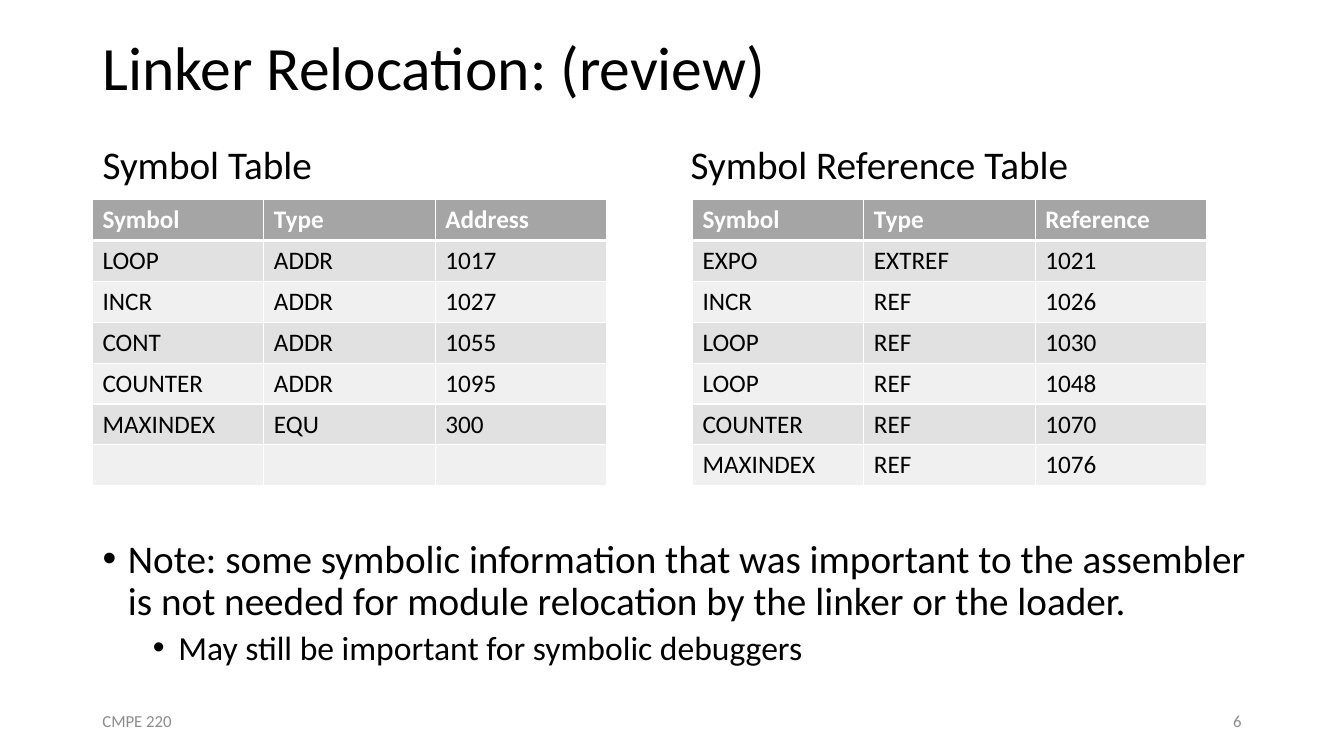
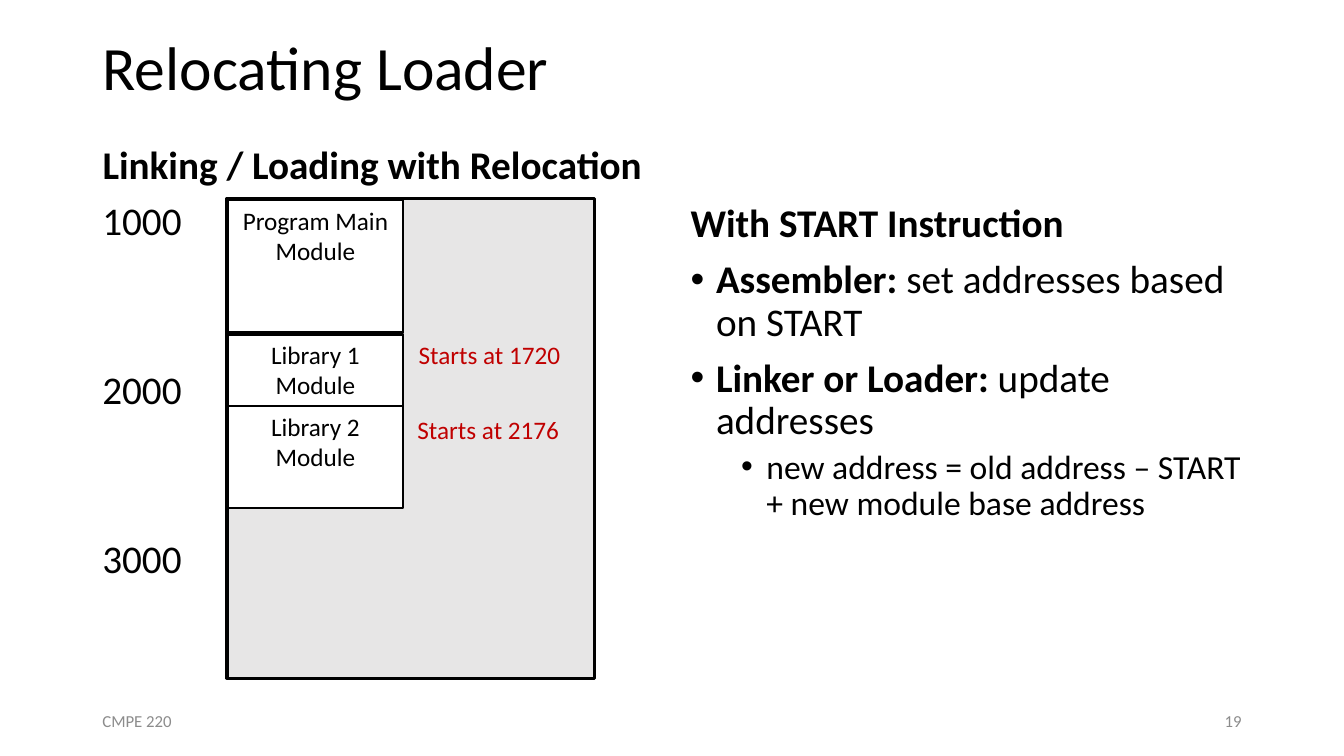
import pptx
import pptx.dml.color
import pptx.enum.shapes
import pptx.enum.text
import pptx.oxml
import pptx.oxml.ns
import pptx.util
from pptx.util import Cm

ALIGN = pptx.enum.text.PP_ALIGN
ANCHOR = pptx.enum.text.MSO_ANCHOR
FONT = "Calibri"
BLACK, WHITE, GREY, RED = "000000", "FFFFFF", "8C8C8C", "C00000"
HEADER_FILL, ROW_FILLS, MEMORY_FILL = "A5A5A5", ("E1E1E1", "F0F0F0"), "E7E6E6"

LEFT, RIGHT_COLUMN, CONTENT_TOP = 2.33, 17.15, 3.53
LINE_STEP = 1.42
COLUMN_WIDTH, ROW_HEIGHT, TABLE_TOP = 4.32, 1.03, 5.03
HEADING_HEIGHT = 1.4

TABLES = [
    (LEFT, [
        ("Symbol", "Type", "Address"),
        ("LOOP", "ADDR", "1017"),
        ("INCR", "ADDR", "1027"),
        ("CONT", "ADDR", "1055"),
        ("COUNTER", "ADDR", "1095"),
        ("MAXINDEX", "EQU", "300"),
        ("", "", ""),
    ]),
    (17.45, [
        ("Symbol", "Type", "Reference"),
        ("EXPO", "EXTREF", "1021"),
        ("INCR", "REF", "1026"),
        ("LOOP", "REF", "1030"),
        ("LOOP", "REF", "1048"),
        ("COUNTER", "REF", "1070"),
        ("MAXINDEX", "REF", "1076"),
    ]),
]

NOTE = [
    (1, [("Note: some symbolic information that was important to the assembler "
          "is not needed for module relocation by the linker or the loader.", False)]),
    (2, [("May still be important for symbolic debuggers", False)]),
]
START_LIST = [
    (0, [("With START Instruction", True)]),
    (1, [("Assembler: ", True), ("set addresses based on START", False)]),
    (1, [("Linker or Loader: ", True), ("update addresses", False)]),
    (2, [("new address = old address – START + new module base address", False)]),
]

SLIDES = [
    {"title": "Linker Relocation: (review)", "number": "6", "tables": TABLES, "bodies": [
        (1, (LEFT, CONTENT_TOP, 14.4, HEADING_HEIGHT), [(0, [("Symbol Table", False)])]),
        (3, (RIGHT_COLUMN, CONTENT_TOP, 14.4, HEADING_HEIGHT),
         [(0, [("Symbol Reference Table", False)])]),
        (2, (LEFT, CONTENT_TOP + 7 * LINE_STEP, 29.57, 3.6), NOTE),
    ]},
    {"title": "Relocating Loader", "number": "19", "memory": True, "bodies": [
        (1, (LEFT, CONTENT_TOP, 15.95, HEADING_HEIGHT),
         [(0, [("Linking / Loading with Relocation", True)])]),
        (2, (RIGHT_COLUMN, 5.0, 14.4, 11.48), START_LIST),
    ]},
]

MEMORY_ADDRESSES = ["1000", "2000", "3000"]
MEMORY_BOX = (5.72, 5.0, 9.27, 12.09)
MODULES = [
    ("Program Main Module", 5.05, 3.33),
    ("Library 1 Module", 8.43, 1.8),
    ("Library 2 Module", 10.24, 2.57),
]
START_NOTES = [("Starts at 1720", 10.19, 8.43), ("Starts at 2176", 10.16, 10.31)]

LEVELS = {0: (28, 10, 0), 1: (28, 10, 0.64), 2: (24, 5, 1.91)}
BULLET_INDENT = 0.64


def color(value):
    return pptx.dml.color.RGBColor.from_string(value)


def format_run(run, size, text_color=BLACK, bold=False):
    run.font.name = FONT
    run.font.size = pptx.util.Pt(size)
    run.font.bold = bold
    run.font.color.rgb = color(text_color)


def place(shape, left, top, width, height):
    shape.left, shape.top = Cm(left), Cm(top)
    shape.width, shape.height = Cm(width), Cm(height)


def set_frame(frame, anchor):
    frame.word_wrap = True
    frame.auto_size = pptx.enum.text.MSO_AUTO_SIZE.NONE
    frame.vertical_anchor = anchor


def write_line(shape, text, size, text_color=BLACK, align=ALIGN.LEFT, anchor=ANCHOR.TOP):
    set_frame(shape.text_frame, anchor)
    shape.text_frame.text = text
    paragraph = shape.text_frame.paragraphs[0]
    paragraph.alignment = align
    for run in paragraph.runs:
        format_run(run, size, text_color)
    return paragraph


def add_label(slide, box, text, size, **style):
    label = slide.shapes.add_textbox(*map(Cm, box))
    return write_line(label, text, size, **style)


def set_bullet(paragraph, level, margin):
    properties = paragraph._p.get_or_add_pPr()
    properties.set("marL", str(Cm(margin)))
    properties.set("indent", str(-Cm(BULLET_INDENT) if level else 0))
    namespace = pptx.oxml.ns.nsdecls("a")
    if level:
        parts = [f'<a:buFont {namespace} typeface="Arial"/>',
                 f'<a:buChar {namespace} char="•"/>']
    else:
        parts = [f"<a:buNone {namespace}/>"]
    for part in parts:
        properties.append(pptx.oxml.parse_xml(part))


def write_body(shape, items):
    frame = shape.text_frame
    set_frame(frame, ANCHOR.TOP)
    for index, (level, runs) in enumerate(items):
        paragraph = frame.add_paragraph() if index else frame.paragraphs[0]
        size, space, margin = LEVELS[level]
        paragraph.level = max(level - 1, 0)
        paragraph.line_spacing = 0.9
        paragraph.space_before = pptx.util.Pt(space if index else 0)
        set_bullet(paragraph, level, margin)
        for text, bold in runs:
            run = paragraph.add_run()
            run.text = text
            format_run(run, size, bold=bold)


def set_borders(cell, row_index):
    properties = cell._tc.get_or_add_tcPr()
    widths = {"L": 1, "R": 1, "T": 3 if row_index == 1 else 1, "B": 1 if row_index else 3}
    for side, width in widths.items():
        properties.append(pptx.oxml.parse_xml(
            f'<a:ln{side} {pptx.oxml.ns.nsdecls("a")} w="{pptx.util.Pt(width)}">'
            f'<a:solidFill><a:srgbClr val="{WHITE}"/></a:solidFill></a:ln{side}>'))


def add_symbol_table(slide, left, rows):
    columns = len(rows[0])
    table = slide.shapes.add_table(
        len(rows), columns, Cm(left), Cm(TABLE_TOP),
        Cm(columns * COLUMN_WIDTH), Cm(len(rows) * ROW_HEIGHT)).table
    for column in table.columns:
        column.width = Cm(COLUMN_WIDTH)
    for row_index, values in enumerate(rows):
        table.rows[row_index].height = Cm(ROW_HEIGHT)
        header = row_index == 0
        for column_index, value in enumerate(values):
            cell = table.cell(row_index, column_index)
            set_borders(cell, row_index)
            cell.fill.solid()
            cell.fill.fore_color.rgb = color(
                HEADER_FILL if header else ROW_FILLS[(row_index - 1) % 2])
            cell.text_frame.text = value
            for run in cell.text_frame.paragraphs[0].runs:
                format_run(run, 18, WHITE if header else BLACK, header)


def add_box(slide, box, fill, line_width):
    shape = slide.shapes.add_shape(
        pptx.enum.shapes.MSO_SHAPE.RECTANGLE, *map(Cm, box))
    shape.shadow.inherit = False
    shape.fill.solid()
    shape.fill.fore_color.rgb = color(fill)
    shape.line.color.rgb = color(BLACK)
    shape.line.width = pptx.util.Pt(line_width)
    return shape


def add_memory(slide):
    for index, address in enumerate(MEMORY_ADDRESSES):
        top = CONTENT_TOP + (1 + 3 * index) * LINE_STEP
        paragraph = add_label(slide, (LEFT, top, 3, HEADING_HEIGHT), address, 28)
        paragraph.line_spacing = 0.9
    add_box(slide, MEMORY_BOX, MEMORY_FILL, 2.25)
    for name, top, height in MODULES:
        module = add_box(slide, (5.75, top, 4.4, height), WHITE, 1.5)
        write_line(module, name, 18, align=ALIGN.CENTER)
    for text, left, top in START_NOTES:
        add_label(slide, (left, top, 4.29, 1.03), text, 18,
                  text_color=RED, align=ALIGN.CENTER)


def add_slide(presentation, content):
    slide = presentation.slides.add_slide(presentation.slide_layouts[4])
    title = slide.shapes.title
    place(title, LEFT, 0.03, 29.21, 3.5)
    write_line(title, content["title"], 44, anchor=ANCHOR.MIDDLE).line_spacing = 0.9

    placeholders = {shape.placeholder_format.idx: shape for shape in slide.placeholders}
    used = {0}
    for index, box, items in content["bodies"]:
        place(placeholders[index], *box)
        write_body(placeholders[index], items)
        used.add(index)
    for index, shape in placeholders.items():
        if index not in used:
            shape._element.getparent().remove(shape._element)

    for left, text, align in ((LEFT, "CMPE 220", ALIGN.LEFT),
                              (23.92, content["number"], ALIGN.RIGHT)):
        add_label(slide, (left, 17.65, 7.62, 1.01), text, 12,
                  text_color=GREY, align=align, anchor=ANCHOR.MIDDLE)
    for left, rows in content.get("tables", []):
        add_symbol_table(slide, left, rows)
    if content.get("memory"):
        add_memory(slide)


def main():
    presentation = pptx.Presentation()
    presentation.slide_width, presentation.slide_height = Cm(33.87), Cm(19.05)
    for content in SLIDES:
        add_slide(presentation, content)
    presentation.save("out.pptx")


if __name__ == "__main__":
    main()
